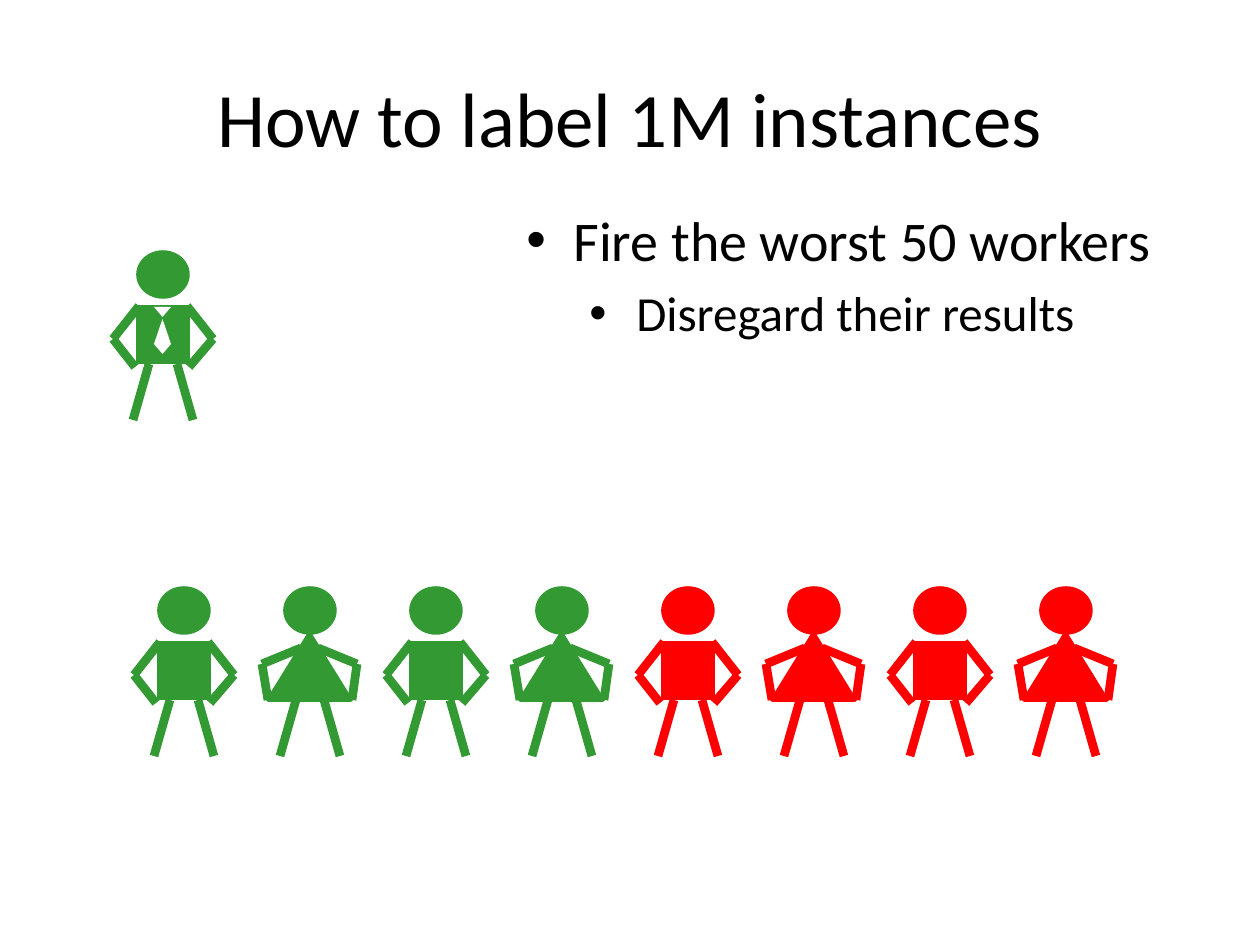
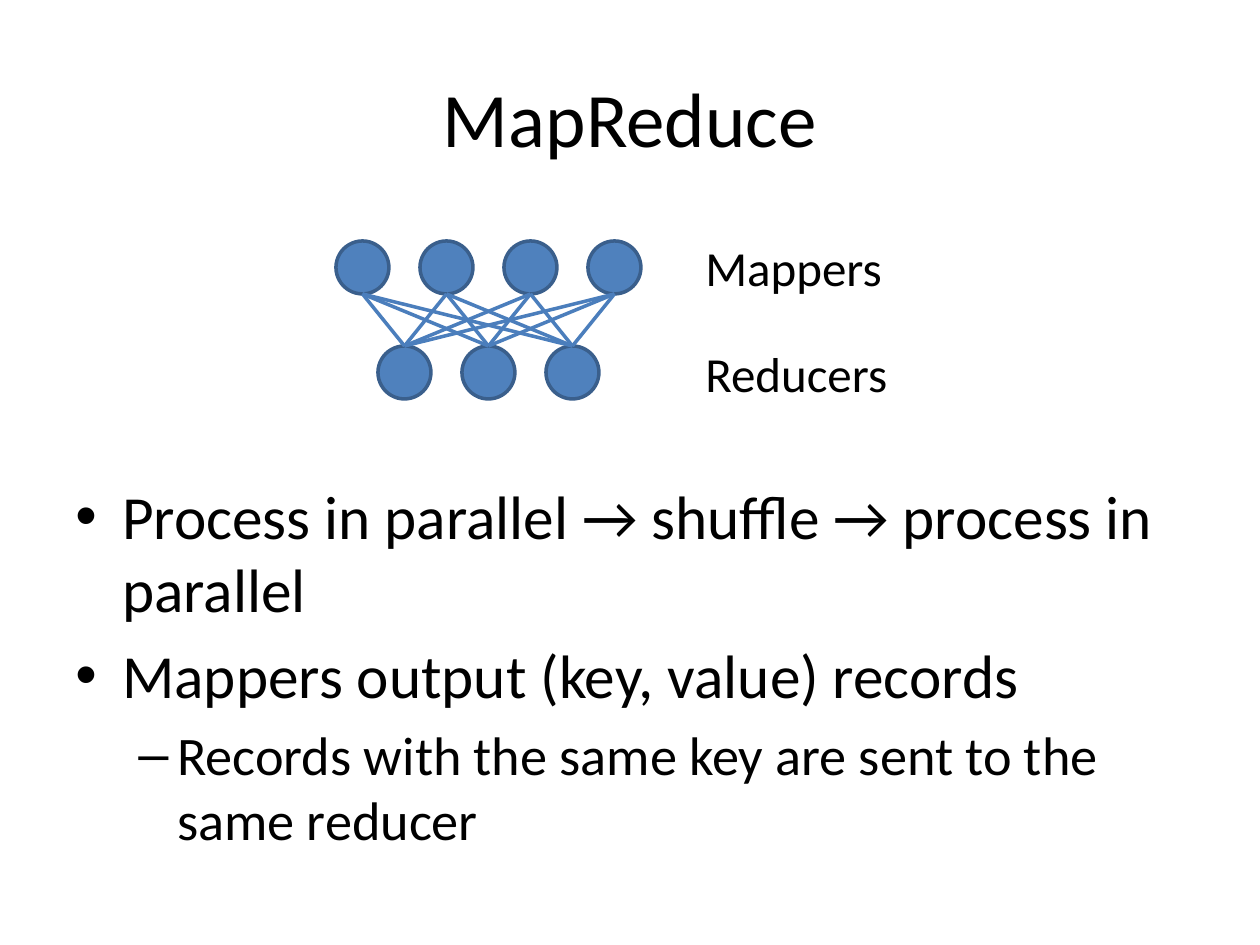
from itertools import pairwise, product

from lxml import etree
from pptx import Presentation
from pptx.dml.color import RGBColor
from pptx.enum.shapes import MSO_CONNECTOR, MSO_SHAPE
from pptx.enum.text import MSO_ANCHOR, PP_ALIGN
from pptx.oxml.ns import qn
from pptx.util import Emu, Pt

STRAIGHT = MSO_CONNECTOR.STRAIGHT
OVAL, RECTANGLE, TRIANGLE = MSO_SHAPE.OVAL, MSO_SHAPE.RECTANGLE, MSO_SHAPE.ISOSCELES_TRIANGLE

FONT = "Calibri"
PX_PER_INCH = 126
COLORS = {
    "text": "000000",
    "good": "339933",
    "bad": "FF0000",
    "tie": "FFFFFF",
    "node": "4F81BD",
    "node_line": "3A5F8C",
    "edge": "4B7EBC",
}

TITLE_BOX = (63, 38, 1134, 157)
PERSON_PITCH = 126
ARMS = {
    "man": [[(82, 54), (108, 87), (84, 115)], [(34, 54), (8, 87), (30, 115)]],
    "woman": [[(66, 60), (105, 76), (100, 112)], [(49, 60), (10, 76), (16, 112)]],
}
TORSOS = {
    "man": (RECTANGLE, (33, 55, 50, 55)),
    "woman": (TRIANGLE, (16, 45, 83, 67)),
}
LEGS = [[(44, 112), (28, 168)], [(72, 112), (88, 168)]]


def px(length):
    return Emu(round(length * 914400 / PX_PER_INCH))


def rgb(name):
    return RGBColor.from_string(COLORS[name])


def add_filled(shapes, kind, box, fill, line=None):
    shape = shapes.add_shape(kind, *map(px, box))
    shape.shadow.inherit = False
    shape.fill.solid()
    shape.fill.fore_color.rgb = rgb(fill)
    if line:
        shape.line.color.rgb = rgb(line)
        shape.line.width = Pt(2)
    else:
        shape.line.fill.background()
    return shape


def add_line(shapes, start, end, color, width):
    connector = shapes.add_connector(STRAIGHT, *map(px, (*start, *end)))
    connector.line.color.rgb = rgb(color)
    connector.line.width = Pt(width)
    etree.SubElement(connector._element.spPr, qn("a:effectLst"))


def add_text_box(slide, box):
    frame = slide.shapes.add_textbox(*map(px, box)).text_frame
    frame.word_wrap = True
    return frame


def set_text(paragraph, text, size):
    paragraph.text = text
    paragraph.font.name = FONT
    paragraph.font.size = Pt(size)
    paragraph.font.color.rgb = rgb("text")


def add_title(slide, text):
    frame = add_text_box(slide, TITLE_BOX)
    frame.vertical_anchor = MSO_ANCHOR.MIDDLE
    paragraph = frame.paragraphs[0]
    set_text(paragraph, text, 44)
    paragraph.alignment = PP_ALIGN.CENTER


def add_label(slide, box, text):
    set_text(add_text_box(slide, box).paragraphs[0], text, 28)


def add_bullets(slide, box, items, level_styles):
    """Items are (level, text); a style is (size, bullet, left margin, hanging indent)."""
    frame = add_text_box(slide, box)
    for index, (level, text) in enumerate(items):
        size, bullet, margin, hanging = level_styles[level]
        paragraph = frame.add_paragraph() if index else frame.paragraphs[0]
        paragraph.level = level
        if index:
            paragraph.space_before = Pt(round(size * 0.2))
        properties = paragraph._p.get_or_add_pPr()
        properties.set("marL", str(px(margin)))
        properties.set("indent", str(-px(hanging)))
        etree.SubElement(properties, qn("a:buFont"), typeface="Arial")
        etree.SubElement(properties, qn("a:buChar"), char=bullet)
        set_text(paragraph, text, size)


def add_person(slide, left, top, kind, color):
    shapes = slide.shapes.add_group_shape().shapes
    torso, (x, y, width, height) = TORSOS[kind]
    add_filled(shapes, OVAL, (left + 33, top, 50, 45), color, color)
    add_filled(shapes, torso, (left + x, top + y, width, height), color, color)
    for limb in ARMS[kind] + LEGS:
        joints = [(left + x, top + y) for x, y in limb]
        for start, end in pairwise(joints):
            add_line(shapes, start, end, color, 5)


def add_tie(slide, left, top):
    shapes = slide.shapes.add_group_shape().shapes
    for y, height, rotation in ((12, 25, 0), (37, 10, 180), (0, 10, 180)):
        triangle = add_filled(shapes, TRIANGLE, (left, top + y, 17, height), "tie")
        triangle.rotation = rotation


def add_workers(slide, left, top):
    for index in range(8):
        kind = "woman" if index % 2 else "man"
        color = "good" if index < 4 else "bad"
        add_person(slide, left + index * PERSON_PITCH, top, kind, color)


def add_network(slide, left, top):
    """Draw a row of mappers joined to every reducer in the row below."""
    shapes = slide.shapes.add_group_shape().shapes
    size, pitch, row_pitch = 53, 84, 105
    mappers = [left + index * pitch for index in range(4)]
    reducers = [left + pitch // 2 + index * pitch for index in range(3)]
    for row, nodes in enumerate((mappers, reducers)):
        for x in nodes:
            box = (x, top + row * row_pitch, size, size)
            add_filled(shapes, OVAL, box, "node", "node_line")
    for mapper, reducer in product(mappers, reducers):
        start = (mapper + size / 2, top + size)
        end = (reducer + size / 2, top + row_pitch)
        add_line(shapes, start, end, "edge", 2)


def build_labeling_slide(slide):
    add_title(slide, "How to label 1M instances")
    add_person(slide, 105, 252, "man", "good")
    add_tie(slide, 154, 307)
    add_workers(slide, 126, 588)
    add_bullets(
        slide,
        (514, 199, 703, 325),
        [(0, "Fire the worst 50 workers"), (1, "Disregard their results")],
        [(32, "•", 47, 47), (28, "•", 110, 47)],
    )


def build_mapreduce_slide(slide):
    add_title(slide, "MapReduce")
    add_network(slide, 336, 241)
    for index, text in enumerate(("Mappers", "Reducers")):
        add_label(slide, (693, 231 + index * 106, 294, 72), text)
    add_bullets(
        slide,
        (63, 472, 1134, 410),
        [
            (0, "Process in parallel → shuffle → process in parallel"),
            (0, "Mappers output (key, value) records"),
            (1, "Records with the same key are sent to the same reducer"),
        ],
        [(35, "•", 47, 47), (31, "–", 102, 39)],
    )


def main():
    presentation = Presentation()
    presentation.slide_width, presentation.slide_height = px(1260), px(945)
    blank_layout = presentation.slide_layouts[6]
    for build in (build_labeling_slide, build_mapreduce_slide):
        build(presentation.slides.add_slide(blank_layout))
    presentation.save("out.pptx")


if __name__ == "__main__":
    main()
